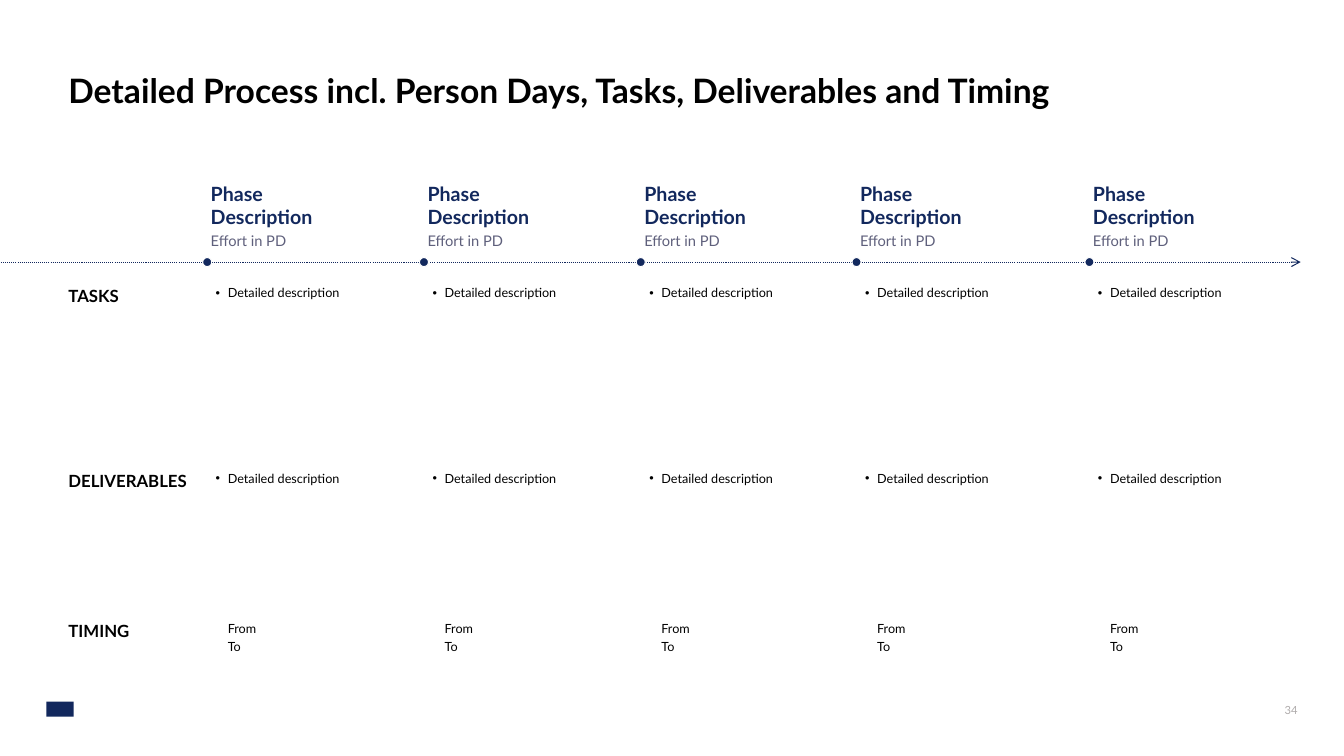
from dataclasses import dataclass

from lxml import etree
from pptx import Presentation
from pptx.dml.color import RGBColor
from pptx.enum.dml import MSO_LINE
from pptx.enum.shapes import MSO_CONNECTOR, MSO_SHAPE
from pptx.enum.text import MSO_ANCHOR, PP_ALIGN
from pptx.oxml.ns import qn
from pptx.util import Inches, Pt

TOP, MIDDLE, BOTTOM = MSO_ANCHOR.TOP, MSO_ANCHOR.MIDDLE, MSO_ANCHOR.BOTTOM
LEFT, RIGHT = PP_ALIGN.LEFT, PP_ALIGN.RIGHT

TITLE = "Detailed Process incl. Person Days, Tasks, Deliverables and Timing"
PAGE_NUMBER = "34"

# Each phase: left edge, heading width, body width, heading, effort
PHASES = [
    (2.09, 1.64, 1.83, "Phase\nDescription", "Effort in PD"),
    (4.24, 1.78, 1.83, "Phase\nDescription", "Effort in PD"),
    (6.39, 1.78, 1.83, "Phase\nDescription", "Effort in PD"),
    (8.53, 1.91, 1.83, "Phase\nDescription", "Effort in PD"),
    (10.84, 1.91, 2.06, "Phase\nDescription", "Effort in PD"),
]
# Each row: label, top, body height, bulleted, lines shown under every phase
ROWS = [
    ("TASKS", 2.83, 1.57, True, ["Detailed description"]),
    ("DELIVERABLES", 4.67, 1.4, True, ["Detailed description"]),
    ("TIMING", 6.16, 0.47, False, ["From", "To"]),
]

MARGIN = 0.58
TIMELINE_Y = 2.6
DOT_SIZE = 0.09
DOT_OFFSET = 0.08
HEADING_TOP, HEADING_HEIGHT = 1.44, 1.03


@dataclass(frozen=True)
class Theme:
    font: str = "Lato"
    navy: str = "12285D"
    grey: str = "5F607C"
    pale: str = "AFABAB"
    black: str = "000000"
    white: str = "FFFFFF"
    title: float = 24
    heading: float = 14
    label: float = 12
    effort: float = 10.5
    body: float = 9
    page: float = 8


THEME = Theme()


def rgb(value):
    return RGBColor.from_string(value)


def add_text(slide, box, lines, insets=(0, 0, 0, 0), anchor=TOP,
             align=LEFT, space_after=0):
    """Add a text box; lines are (text, size, colour, bold). Return its paragraphs."""
    shape = slide.shapes.add_textbox(*map(Inches, box))
    frame = shape.text_frame
    frame.word_wrap = True
    frame.vertical_anchor = anchor
    (frame.margin_left, frame.margin_top,
     frame.margin_right, frame.margin_bottom) = map(Inches, insets)
    for index, (text, size, colour, bold) in enumerate(lines):
        paragraph = frame.add_paragraph() if index else frame.paragraphs[0]
        paragraph.text = text
        paragraph.alignment = align
        paragraph.space_after = Pt(space_after)
        for run in paragraph.runs:
            run.font.name = THEME.font
            run.font.size = Pt(size)
            run.font.bold = bold
            run.font.color.rgb = rgb(colour)
    return frame.paragraphs


def indent(paragraph, bulleted):
    properties = paragraph._p.get_or_add_pPr()
    properties.set("marL", str(Inches(0.13)))
    properties.set("indent", str(Inches(-0.12) if bulleted else 0))
    if bulleted:
        etree.SubElement(properties, qn("a:buFont")).set("typeface", "Arial")
        etree.SubElement(properties, qn("a:buChar")).set("char", "•")


def add_plain_shape(slide, kind, box, fill, outline=None):
    shape = slide.shapes.add_shape(kind, *map(Inches, box))
    shape.shadow.inherit = False
    shape.fill.solid()
    shape.fill.fore_color.rgb = rgb(fill)
    if outline:
        shape.line.color.rgb = rgb(outline)
        shape.line.width = Pt(0.75)
    else:
        shape.line.fill.background()


def add_timeline(slide):
    timeline = slide.shapes.add_connector(
        MSO_CONNECTOR.STRAIGHT, Inches(0.01), Inches(TIMELINE_Y),
        Inches(12.9), Inches(TIMELINE_Y))
    timeline.line.color.rgb = rgb(THEME.navy)
    timeline.line.width = Pt(0.75)
    timeline.line.dash_style = MSO_LINE.ROUND_DOT
    properties = timeline._element.spPr
    line = properties.find(qn("a:ln"))
    etree.SubElement(line, qn("a:tailEnd")).set("type", "arrow")
    etree.SubElement(properties, qn("a:effectLst"))


def add_phase_heading(slide, left, width, heading, effort):
    dot = (left - DOT_OFFSET, TIMELINE_Y - DOT_SIZE / 2, DOT_SIZE, DOT_SIZE)
    add_plain_shape(slide, MSO_SHAPE.OVAL, dot, THEME.navy, THEME.white)
    add_text(slide, (left, HEADING_TOP, width, HEADING_HEIGHT),
             [(heading, THEME.heading, THEME.navy, True),
              (effort, THEME.effort, THEME.grey, False)],
             anchor=BOTTOM, space_after=2)


def add_row(slide, label, top, height, bulleted, texts):
    add_text(slide, (MARGIN, top, 1.42, 0.33),
             [(label, THEME.label, THEME.black, True)], insets=(0.1, 0, 0, 0))
    lines = [(text, THEME.body, THEME.black, False) for text in texts]
    for left, _, width, _, _ in PHASES:
        paragraphs = add_text(slide, (left, top, width, height), lines,
                              insets=(0.04, 0, 0, 0), space_after=2)
        for paragraph in paragraphs:
            indent(paragraph, bulleted)


def main():
    presentation = Presentation()
    presentation.slide_width = Inches(13.33)
    presentation.slide_height = Inches(7.5)
    slide = presentation.slides.add_slide(presentation.slide_layouts[6])

    add_text(slide, (8.53, 6.83, 4.44, 0.42),
             [(PAGE_NUMBER, THEME.page, THEME.pale, False)],
             insets=(0.1, 0.05, 0.1, 0.05), anchor=MIDDLE, align=RIGHT)
    add_plain_shape(slide, MSO_SHAPE.RECTANGLE, (0.46, 6.96, 0.27, 0.15), THEME.navy)
    title, = add_text(slide, (MARGIN, 0.58, 12.17, 0.67),
                      [(TITLE, THEME.title, THEME.black, True)],
                      insets=(0.1, 0.05, 0.1, 0.05), anchor=MIDDLE)
    title.line_spacing = 0.9

    add_timeline(slide)
    for left, heading_width, _, heading, effort in PHASES:
        add_phase_heading(slide, left, heading_width, heading, effort)
    for row in ROWS:
        add_row(slide, *row)

    presentation.save("out.pptx")


if __name__ == "__main__":
    main()
